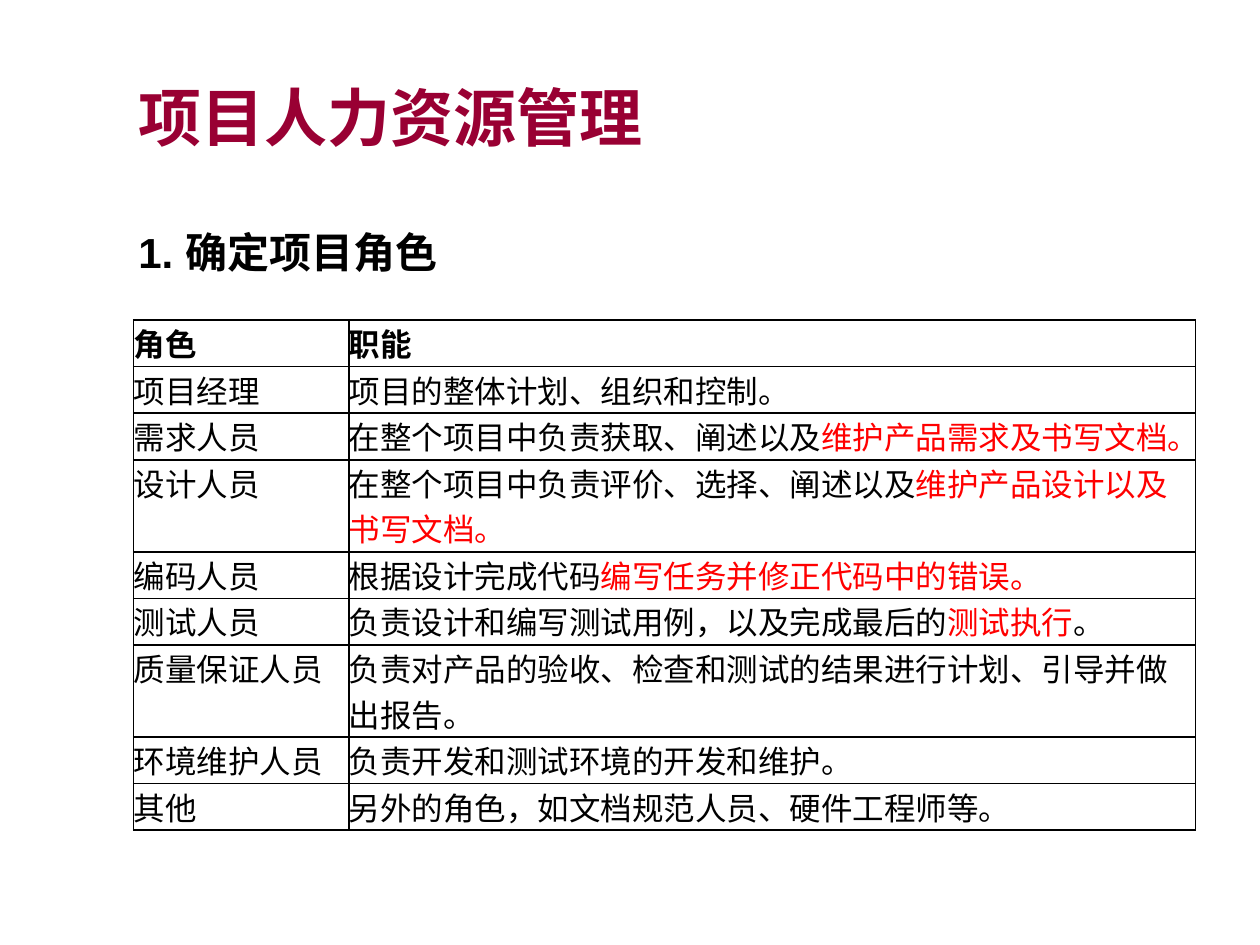
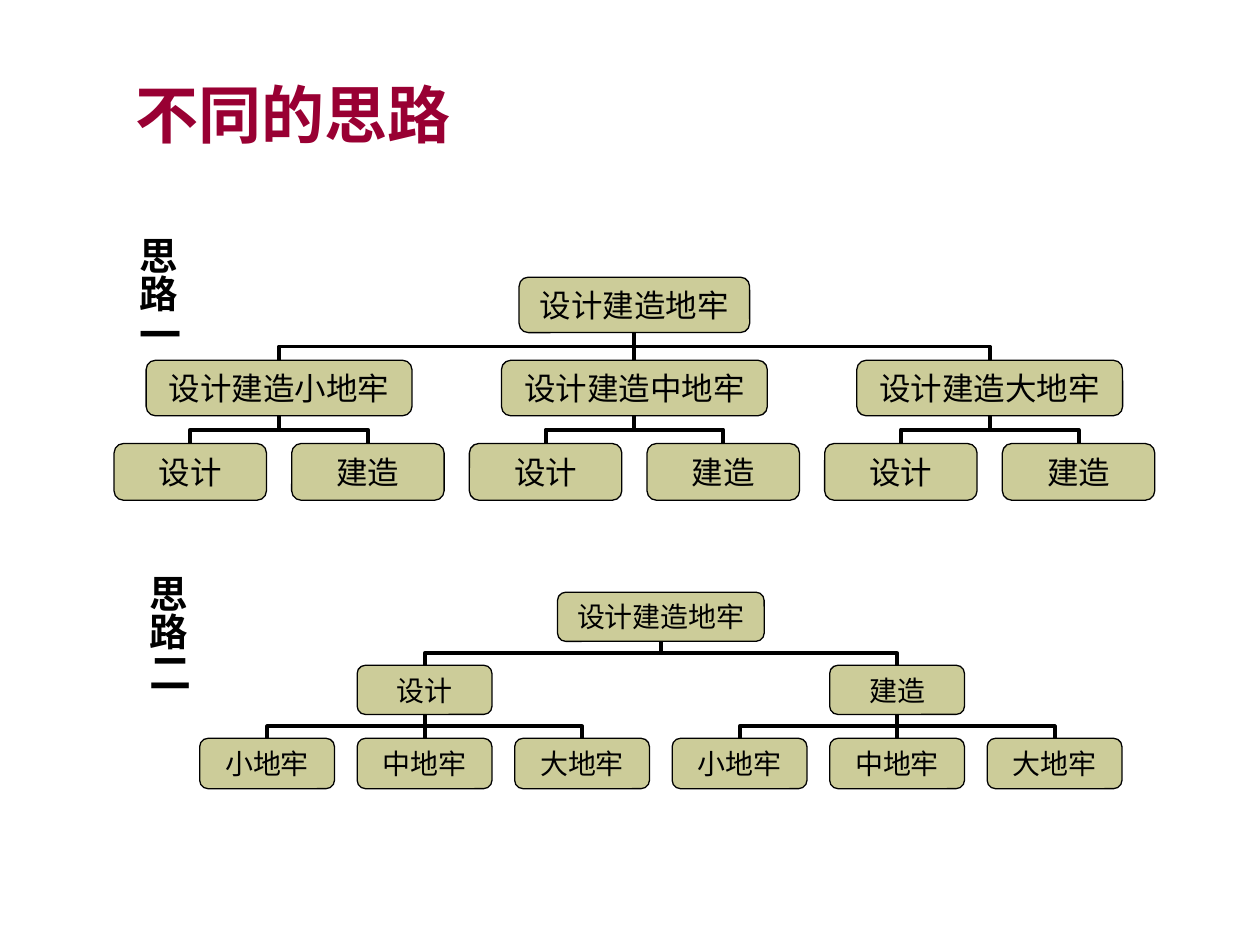
from dataclasses import dataclass, replace

from lxml import etree
from pptx import Presentation
from pptx.dml.color import RGBColor
from pptx.enum.shapes import MSO_CONNECTOR, MSO_SHAPE
from pptx.enum.text import MSO_ANCHOR, MSO_AUTO_SIZE, PP_ALIGN
from pptx.oxml.ns import qn
from pptx.slide import Slide
from pptx.text.text import TextFrame
from pptx.util import Inches, Pt

BLACK = RGBColor(0x00, 0x00, 0x00)
RED = RGBColor(0xFF, 0x00, 0x00)
CRIMSON = RGBColor(0x99, 0x00, 0x33)
KHAKI = RGBColor(0xCC, 0xCC, 0x99)
CHINESE_FONT = "Noto Sans CJK SC"

ELBOW, STRAIGHT = MSO_CONNECTOR.ELBOW, MSO_CONNECTOR.STRAIGHT
ROUNDED = MSO_SHAPE.ROUNDED_RECTANGLE
MIDDLE, CENTER = MSO_ANCHOR.MIDDLE, PP_ALIGN.CENTER
GROW = MSO_AUTO_SIZE.SHAPE_TO_FIT_TEXT


@dataclass(frozen=True)
class TextStyle:
    font: str
    size: int
    color: RGBColor = BLACK
    bold: bool = False


@dataclass(frozen=True)
class Role:
    """The duty alternates between plain and highlighted pieces."""
    name: str
    duty: list[str]
    row_height: float = 0.37


@dataclass(frozen=True)
class Level:
    labels: list[str]
    width: float
    height: float


@dataclass(frozen=True)
class Tree:
    """Levels run from root to leaves; lengths are inches."""
    first_leaf_center: float
    leaf_pitch: float
    top: float
    level_pitch: float
    size: int
    levels: list[Level]


@dataclass(frozen=True)
class Node:
    label: str
    center: float
    top: float
    width: float
    height: float


TITLE = TextStyle("Times New Roman", 36, CRIMSON, True)
HEADING = TextStyle("Arial", 24, bold=True)
CELL = TextStyle("Times New Roman", 18)
SIDE_LABEL = TextStyle(CHINESE_FONT, 22, bold=True)
SIDE_NUMBER = TextStyle("Lato", 24, bold=True)

TWO_LINES = 0.73
ROLES = [
    Role("角色", ["职能"]),
    Role("项目经理", ["项目的整体计划、组织和控制。"]),
    Role("需求人员", ["在整个项目中负责获取、阐述以及", "维护产品需求及书写文档。"]),
    Role("设计人员", ["在整个项目中负责评价、选择、阐述以及",
                  "维护产品设计以及书写文档。"], TWO_LINES),
    Role("编码人员", ["根据设计完成代码", "编写任务并修正代码中的错误。"]),
    Role("测试人员", ["负责设计和编写测试用例，以及完成最后的", "测试执行", "。"]),
    Role("质量保证人员", ["负责对产品的验收、检查和测试的结果进行计划、引导并做出报告。"],
         TWO_LINES),
    Role("环境维护人员", ["负责开发和测试环境的开发和维护。"]),
    Role("其他", ["另外的角色，如文档规范人员、硬件工程师等。"]),
]

TREE_BY_SIZE = Tree(1.51, 1.41, 2.2, 0.66, 18, [
    Level(["设计建造地牢"], 1.83, 0.44),
    Level([f"设计建造{size}地牢" for size in "小中大"], 2.11, 0.44),
    Level(["设计", "建造"] * 3, 1.21, 0.45),
])
TREE_BY_PHASE = Tree(2.12, 1.25, 4.7, 0.58, 16, [
    Level(["设计建造地牢"], 1.64, 0.39),
    Level(["设计", "建造"], 1.07, 0.39),
    Level(["小地牢", "中地牢", "大地牢"] * 2, 1.07, 0.4),
])


def write(text_frame: TextFrame, pieces: list[tuple[str, TextStyle]]) -> None:
    paragraph = text_frame.paragraphs[0]
    for text, style in pieces:
        run = paragraph.add_run()
        run.text = text
        font = run.font
        font.name, font.size, font.bold = style.font, Pt(style.size), style.bold
        font.color.rgb = style.color
        east_asian = etree.SubElement(run._r.get_or_add_rPr(), qn("a:ea"))
        east_asian.set("typeface", CHINESE_FONT)


def add_text(slide: Slide, left: float, top: float, width: float, height: float,
             pieces: list[tuple[str, TextStyle]]) -> TextFrame:
    box = slide.shapes.add_textbox(Inches(left), Inches(top),
                                   Inches(width), Inches(height))
    box.text_frame.word_wrap = True
    write(box.text_frame, pieces)
    return box.text_frame


def add_title(slide: Slide, text: str, left: float, top: float) -> None:
    text_frame = add_text(slide, left, top, 8.5, 1.25, [(text, TITLE)])
    text_frame.vertical_anchor = MIDDLE


def add_heading(slide: Slide, text: str) -> None:
    text_frame = add_text(slide, 1, 1.75, 4.17, 4.95, [(text, HEADING)])
    paragraph = text_frame.paragraphs[0]
    paragraph.space_before = Pt(5)
    properties = paragraph._p.get_or_add_pPr()
    properties.set("marL", str(Inches(0.58)))
    properties.set("indent", str(-Inches(0.58)))


def add_side_label(slide: Slide, number: str, left: float, top: float) -> None:
    text_frame = add_text(slide, left, top, 0.61, 1.18,
                          [("思路", SIDE_LABEL), (number, SIDE_NUMBER)])
    text_frame.auto_size = GROW
    text_frame.paragraphs[0].space_before = Pt(11)
    text_frame._txBody.bodyPr.set("vert", "eaVert")


def set_borders(cell) -> None:
    properties = cell._tc.get_or_add_tcPr()
    for side in ("lnL", "lnR", "lnT", "lnB"):
        line = etree.SubElement(properties, qn(f"a:{side}"), w=str(Pt(1)))
        fill = etree.SubElement(line, qn("a:solidFill"))
        etree.SubElement(fill, qn("a:srgbClr"), val=str(BLACK))


def add_role_table(slide: Slide) -> None:
    table = slide.shapes.add_table(
        len(ROLES), 2, Inches(1.06), Inches(2.54), Inches(8.43),
        Inches(sum(role.row_height for role in ROLES))).table
    table.first_row = table.horz_banding = False
    for column, width in zip(table.columns, (1.71, 6.72)):
        column.width = Inches(width)
    for row, role in enumerate(ROLES):
        table.rows[row].height = Inches(role.row_height)
        plain = replace(CELL, bold=row == 0)
        highlight = replace(CELL, color=RED)
        for column, texts in enumerate(([role.name], role.duty)):
            cell = table.cell(row, column)
            cell.margin_left = cell.margin_right = 0
            cell.margin_top = cell.margin_bottom = 0
            set_borders(cell)
            cell.fill.background()
            write(cell.text_frame, [(text, highlight if index % 2 else plain)
                                    for index, text in enumerate(texts)])


def add_link(slide: Slide, child: Node, parent: Node) -> None:
    """Join the top of a child to the bottom of its parent."""
    parent_bottom = parent.top + parent.height
    rise = child.top - parent_bottom
    shift = child.center - parent.center
    if abs(shift) < 0.01:
        kind = STRAIGHT
        ends = (child.center, child.top, child.center, parent_bottom)
    else:
        # The elbow is laid out sideways, then turned about its middle
        kind = ELBOW
        middle_x = (child.center + parent.center) / 2
        middle_y = (child.top + parent_bottom) / 2
        half_width = rise / 2 if shift > 0 else -rise / 2
        half_height = abs(shift) / 2
        ends = (middle_x + half_width, middle_y - half_height,
                middle_x - half_width, middle_y + half_height)
    link = slide.shapes.add_connector(kind, *(Inches(end) for end in ends))
    link.line.color.rgb = BLACK
    link.line.width = Pt(2.25)
    properties = link._element.spPr
    etree.SubElement(properties, qn("a:effectLst"))
    if kind == ELBOW:
        degrees = 90 if shift > 0 else 270
        properties.find(qn("a:xfrm")).set("rot", str(degrees * 60000))


def add_node(slide: Slide, node: Node, size: int) -> None:
    shape = slide.shapes.add_shape(
        ROUNDED, Inches(node.center - node.width / 2), Inches(node.top),
        Inches(node.width), Inches(node.height))
    shape.shadow.inherit = False
    shape.fill.solid()
    shape.fill.fore_color.rgb = KHAKI
    shape.line.color.rgb = BLACK
    shape.line.width = Pt(0.75)
    text_frame = shape.text_frame
    text_frame.word_wrap = False
    text_frame.vertical_anchor = MIDDLE
    text_frame.margin_left = text_frame.margin_right = Inches(0.05)
    text_frame.margin_top = text_frame.margin_bottom = Inches(0.03)
    write(text_frame, [(node.label, TextStyle("Lato", size))])
    text_frame.paragraphs[0].alignment = CENTER


def place_nodes(tree: Tree) -> list[list[Node]]:
    """Spread the leaves evenly and centre each node over its leaves."""
    leaf_count = len(tree.levels[-1].labels)
    rows = []
    for depth, level in enumerate(tree.levels):
        span = leaf_count / len(level.labels)
        rows.append([
            Node(label,
                 tree.first_leaf_center
                 + tree.leaf_pitch * (index * span + (span - 1) / 2),
                 tree.top + depth * tree.level_pitch, level.width, level.height)
            for index, label in enumerate(level.labels)])
    return rows


def draw_tree(slide: Slide, tree: Tree) -> None:
    rows = place_nodes(tree)
    # Links lie behind the boxes
    for parents, children in zip(rows, rows[1:]):
        family_size = len(children) // len(parents)
        for index, child in enumerate(children):
            add_link(slide, child, parents[index // family_size])
    for row in rows:
        for node in row:
            add_node(slide, node, tree.size)


def main() -> None:
    presentation = Presentation()
    presentation.slide_width = Inches(10)
    presentation.slide_height = Inches(7.5)
    blank = presentation.slide_layouts[6]

    # Project roles
    slide = presentation.slides.add_slide(blank)
    add_title(slide, "项目人力资源管理", 1, 0.3)
    add_heading(slide, "1. 确定项目角色")
    add_role_table(slide)

    # Two ways to break down the work
    slide = presentation.slides.add_slide(blank)
    add_title(slide, "不同的思路", 0.98, 0.27)
    draw_tree(slide, TREE_BY_PHASE)
    draw_tree(slide, TREE_BY_SIZE)
    add_side_label(slide, "一", 0.9, 1.78)
    add_side_label(slide, "二", 0.98, 4.46)

    presentation.save("out.pptx")


if __name__ == "__main__":
    main()
